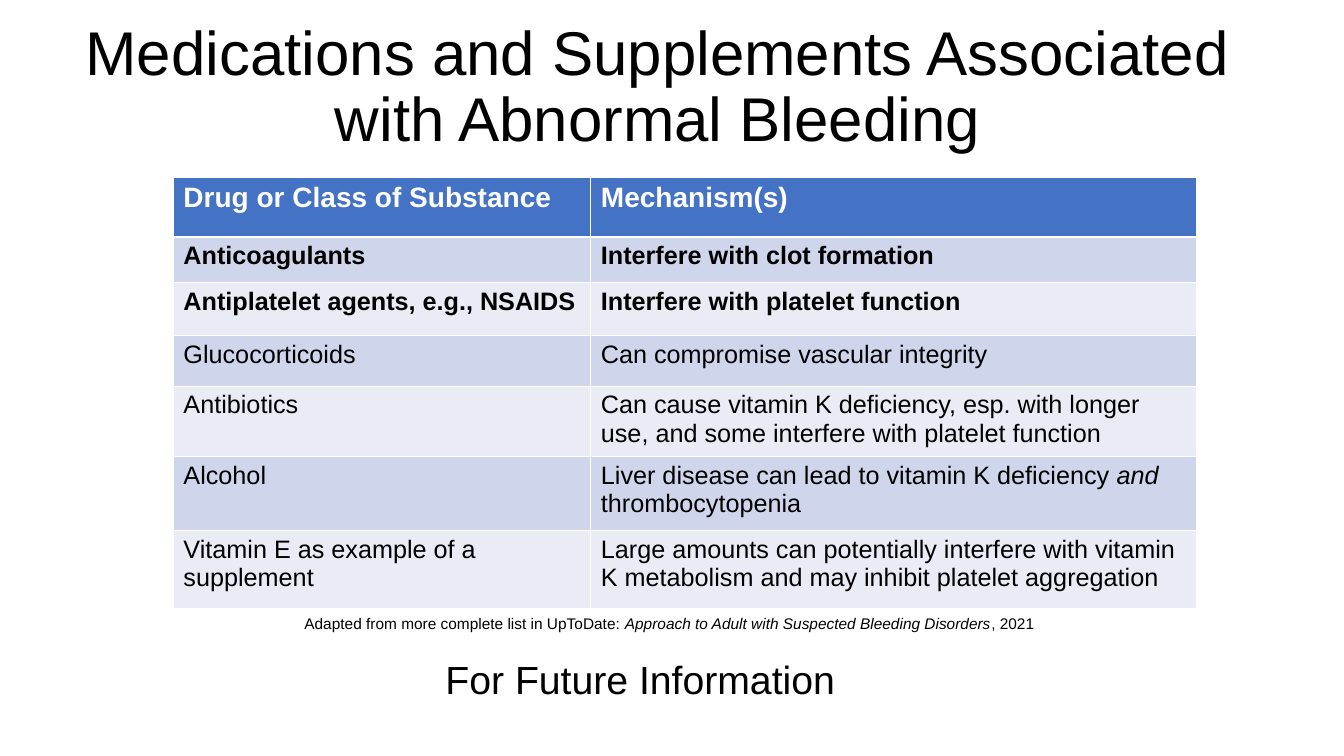
from pptx import Presentation
from pptx.dml.color import RGBColor
from pptx.enum.text import MSO_ANCHOR as Anchor, MSO_AUTO_SIZE as Fit, PP_ALIGN as Align
from pptx.util import Inches, Pt

HEADER = ("Drug or Class of Substance", "Mechanism(s)")
BOLD_ROWS = [
    ("Anticoagulants", "Interfere with clot formation"),
    ("Antiplatelet agents, e.g., NSAIDS", "Interfere with platelet function"),
]
PLAIN_ROWS = [
    ("Glucocorticoids", "Can compromise vascular integrity"),
    ("Antibiotics",
     "Can cause vitamin K deficiency, esp. with longer use, "
     "and some interfere with platelet function"),
    ("Alcohol",
     ["Liver disease can lead to vitamin K deficiency ",
      ("and ", {"italic": True}), "thrombocytopenia"]),
    ("Vitamin E as example of a supplement",
     "Large amounts can potentially interfere with vitamin K metabolism "
     "and may inhibit platelet aggregation"),
]
COL_WIDTHS = (31.06, 45.09)
ROW_HEIGHTS = (7.87, 6, 7.07, 6.67, 9.33, 9.73, 10.4)


def rgb(value):
    return RGBColor.from_string(value)


class Deck:
    font = "Arial"
    ink = "000000"
    head_ink = "FFFFFF"
    head_fill = "4472C4"
    bands = ("CFD5EA", "E9EBF5")

    def __init__(self, width, height):
        self.prs = Presentation()
        self.prs.slide_width = Inches(width)
        self.prs.slide_height = Inches(height)
        self.s = self.prs.slides.add_slide(self.prs.slide_layouts[6])

    def x(self, percent):
        return round(self.prs.slide_width * percent / 100)

    def y(self, percent):
        return round(self.prs.slide_height * percent / 100)

    def add_runs(self, p, content, color=None, **formats):
        runs = [content] if isinstance(content, str) else content
        for item in runs:
            text, extra = (item, {}) if isinstance(item, str) else item
            r = p.add_run()
            r.text = text
            r.font.color.rgb = rgb(color or self.ink)
            for name, value in {"name": self.font, **formats, **extra}.items():
                setattr(r.font, name, value)

    def text(self, box, content, size, frame, paragraph=None):
        left, top, width, height = box
        sp = self.s.shapes.add_textbox(
            self.x(left), self.y(top), self.x(width), self.y(height))
        tf = sp.text_frame
        p = tf.paragraphs[0]
        for target, formats in ((tf, frame), (p, paragraph or {})):
            for name, value in formats.items():
                setattr(target, name, value)
        self.add_runs(p, content, size=Pt(size))

    def table(self, left, top, widths, heights, rows, bold_count):
        table = self.s.shapes.add_table(
            len(rows), len(widths), self.x(left), self.y(top),
            self.x(sum(widths)), self.y(sum(heights))).table
        for column, width in zip(table.columns, widths):
            column.width = self.x(width)
        for i, (row, height, contents) in enumerate(zip(table.rows, heights, rows)):
            row.height = self.y(height)
            head = i == 0
            fill = self.head_fill if head else self.bands[(i - 1) % 2]
            for cell, content in zip(row.cells, contents):
                cell.fill.solid()
                cell.fill.fore_color.rgb = rgb(fill)
                self.add_runs(cell.text_frame.paragraphs[0], content,
                              self.head_ink if head else self.ink,
                              size=Pt(20 if head else 18), bold=i < bold_count)


def main():
    deck = Deck(13.33, 7.5)
    deck.text((3.75, 4.13, 90.4, 19.33),
              "Medications and Supplements Associated with Abnormal Bleeding", 44.1,
              {"word_wrap": True, "auto_size": Fit.NONE,
               "vertical_anchor": Anchor.MIDDLE,
               "margin_top": 0, "margin_bottom": Inches(0.31)},
              {"alignment": Align.CENTER, "line_spacing": 0.9})
    rows = [HEADER, *BOLD_ROWS, *PLAIN_ROWS]
    deck.table(12.9, 23.47, COL_WIDTHS, ROW_HEIGHTS, rows, 1 + len(BOLD_ROWS))
    label = {"word_wrap": False, "auto_size": Fit.SHAPE_TO_FIT_TEXT}
    deck.text((21.91, 80.53, 56.26, 3.87),
              ["Adapted from more complete list in UpToDate: ",
               ("Approach to Adult with Suspected Bleeding Disorders", {"italic": True}),
               ", 2021"], 11, label)
    deck.text((32.41, 86, 30.91, 7.6), "For Future Information", 28, label)
    deck.prs.save("out.pptx")


if __name__ == "__main__":
    main()
